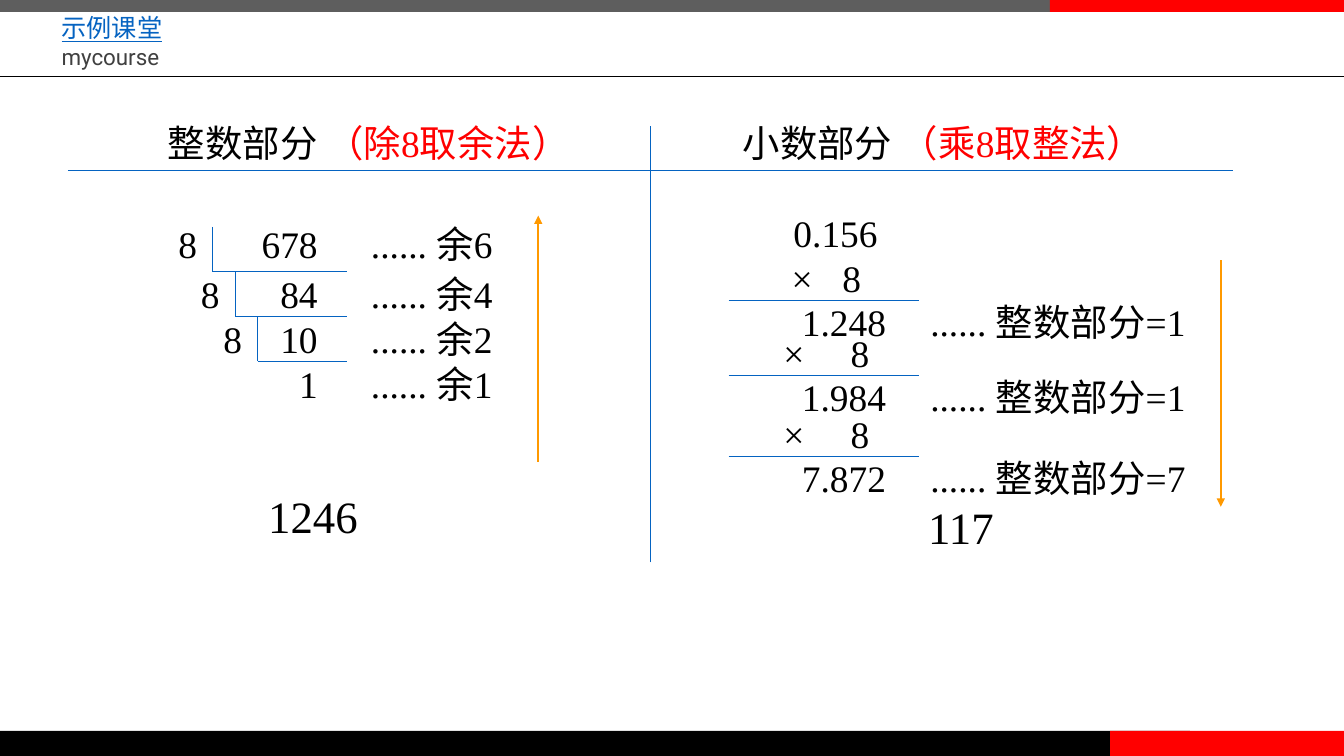
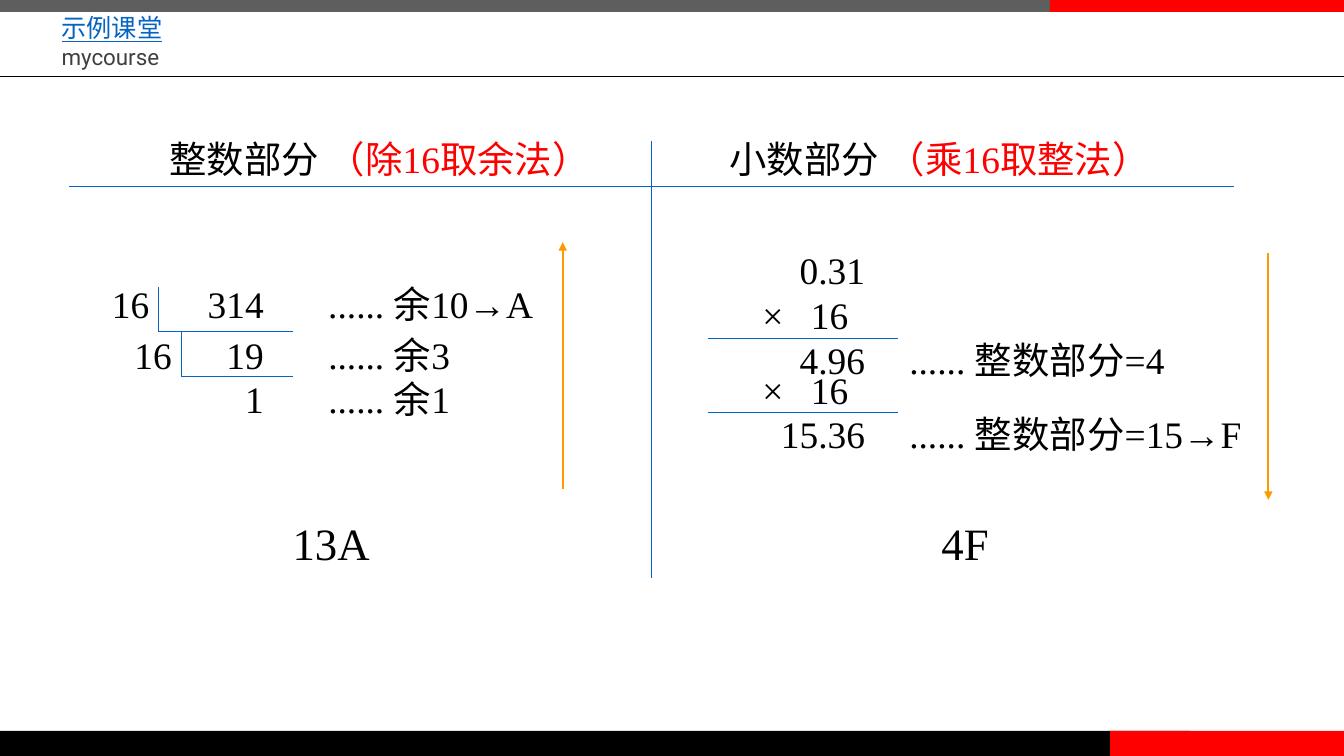
from lxml.etree import SubElement
from pptx import Presentation
from pptx.dml.color import RGBColor
from pptx.enum.shapes import MSO_CONNECTOR, MSO_SHAPE
from pptx.enum.text import MSO_ANCHOR, MSO_AUTO_SIZE, PP_ALIGN
from pptx.oxml.ns import qn
from pptx.util import Pt

BLACK = RGBColor(0x00, 0x00, 0x00)
RED = RGBColor(0xFF, 0x00, 0x00)
GRAY = RGBColor(0x5E, 0x5E, 0x5E)
DARK_GRAY = RGBColor(0x40, 0x40, 0x40)
BLUE = RGBColor(0x05, 0x63, 0xC1)
ORANGE = RGBColor(0xFF, 0x99, 0x00)

SERIF = "Times New Roman"
SANS = "Roboto"
BODY_SIZE = 26.7
RESULT_SIZE = 32
LINE_HEIGHT = 32
ARROW_LENGTH = 176
RULE_OFFSETS = (65, 118, 176)


class Lesson:
    """Number-base lesson slides: shared style and the current slide."""

    def __init__(self):
        self.deck = Presentation()
        self.deck.slide_width, self.deck.slide_height = Pt(960), Pt(540)
        self.layout = self.deck.slide_layouts[5]
        self.slide = None

    def new_slide(self):
        first = self.slide is None
        self.slide = self.deck.slides.add_slide(self.layout)
        if first:
            self.frame()

    def frame(self):
        parts = [
            self.band(0, 0, 778, 8.6, GRAY),
            self.band(0, 522, 850, 18, BLACK),
            self.band(793, 522, 167, 18, RED),
            self.band(750, 0, 210, 8.6, RED),
            self.line(0, 54.7, 960, 54.7, BLACK, 0.5),
            self.brand(),
        ]
        for part in parts:
            self.layout.shapes.element.append(part.element)

    def band(self, left, top, width, height, color):
        band = self.slide.shapes.add_shape(
            MSO_SHAPE.RECTANGLE, Pt(left), Pt(top), Pt(width), Pt(height))
        band.shadow.inherit = False
        band.fill.solid()
        band.fill.fore_color.rgb = color
        band.line.fill.background()
        return band

    def line(self, x1, y1, x2, y2, color=BLUE, width=0.75, arrow=False):
        line = self.slide.shapes.add_connector(
            MSO_CONNECTOR.STRAIGHT, Pt(x1), Pt(y1), Pt(x2), Pt(y2))
        line.line.color.rgb = color
        line.line.width = Pt(width)
        if arrow:
            SubElement(line.line._get_or_add_ln(), qn("a:tailEnd"), type="triangle")
        SubElement(line.element.spPr, qn("a:effectLst"))
        return line

    def arrow(self, x, start, end):
        self.line(x, start, x, end, ORANGE, 1.5, arrow=True)

    def set_frame(self, shape):
        frame = shape.text_frame
        frame.word_wrap = True
        frame.auto_size = MSO_AUTO_SIZE.NONE
        frame.vertical_anchor = MSO_ANCHOR.TOP
        frame.margin_left = frame.margin_right = 0
        frame.margin_top = frame.margin_bottom = 0
        return frame

    def set_font(self, paragraph, size, color=BLACK, name=SERIF):
        paragraph.font.size = Pt(size)
        paragraph.font.name = name
        paragraph.font.color.rgb = color

    def set_tabs(self, paragraph, stops):
        tab_list = SubElement(paragraph._p.get_or_add_pPr(), qn("a:tabLst"))
        for position, side in stops:
            SubElement(tab_list, qn("a:tab"), pos=str(Pt(position)), algn=side)

    def brand(self):
        brand = self.slide.shapes.add_textbox(Pt(44), Pt(9), Pt(200), Pt(44))
        frame = self.set_frame(brand)
        school, site = frame.paragraphs[0], frame.add_paragraph()
        school.text, site.text = "示例课堂", "mycourse"
        self.set_font(school, 18, BLUE, SANS)
        school.font.underline = True
        self.set_font(site, 16, DARK_GRAY, SANS)
        return brand

    def text(self, text, left, top, stops=(), size=BODY_SIZE, width=340):
        row = self.slide.shapes.add_textbox(
            Pt(left), Pt(top), Pt(width), Pt(size * 1.2))
        paragraph = self.set_frame(row).paragraphs[0]
        paragraph.text = text
        if stops:
            self.set_tabs(paragraph, [(x - left, side) for x, side in stops])
        self.set_font(paragraph, size)

    def result(self, digits, left, top):
        self.text(digits, left, top, size=RESULT_SIZE, width=110)

    def headings(self, base, left, axis, second_column):
        self.line(left, axis, left + 832, axis)
        self.line(left + 416, axis + 280, left + 416, axis - 32)
        title = self.slide.shapes.title
        title.left, title.top = Pt(left + 71.5), Pt(axis - 36)
        title.width, title.height = Pt(728), Pt(36)
        paragraph = self.set_frame(title).paragraphs[0]
        paragraph.alignment = PP_ALIGN.LEFT
        self.set_tabs(paragraph, [(second_column, "l")])
        self.set_font(paragraph, BODY_SIZE)
        for words, color in (
            ("整数部分 ", BLACK), (f"（除{base}取余法）\t", RED),
            ("小数部分 ", BLACK), (f"（乘{base}取整法）", RED),
        ):
            run = paragraph.add_run()
            run.text = words
            run.font.color.rgb = color

    def division(self, base, rows, left, top, bar_end, divisor_gap, note_gap):
        stops = [(bar_end - 21, "r"), (bar_end + note_gap, "l")]
        for index, (dividend, remainder) in enumerate(rows):
            x = left + 16 * index
            bracket_top = top + 4 + LINE_HEIGHT * index
            last = index == len(rows) - 1
            divisor = "" if last else base
            self.text(f"{divisor}\t{dividend}\t...... 余{remainder}",
                      x - divisor_gap, bracket_top if index else top, stops)
            if not last:
                bracket_bottom = bracket_top + LINE_HEIGHT
                self.line(x, bracket_top, x, bracket_bottom)
                self.line(x, bracket_bottom, bar_end, bracket_bottom)

    def multiplication(self, base, start, steps, left, top, lead=0):
        sign, factor_end = left + 39, left + 100.5
        product_end, note = left + 112.5, left + 144
        self.text(f"\t{start}", sign, top, [(product_end - lead, "r")], width=110)
        for index, (offset, (product, whole)) in enumerate(zip(RULE_OFFSETS, steps)):
            shift = 0 if index else lead
            rule = top + offset
            self.text(f"×\t{base}", sign + shift, rule - 32.5,
                      [(factor_end - shift, "r")], width=90)
            self.line(left, rule, left + 136, rule)
            self.text(f"\t{product}\t...... 整数部分={whole}", sign, rule - 1,
                      [(product_end, "r"), (note, "l")], width=370)


def main():
    lesson = Lesson()

    lesson.new_slide()
    lesson.headings("8", 48.5, 121.7, 410.5)
    lesson.division("8", [("678", "6"), ("84", "4"), ("10", "2"), ("1", "1")],
                    left=152, top=158, bar_end=248, divisor_gap=24.5, note_gap=17)
    lesson.arrow(384.5, 154 + ARROW_LENGTH, 154)
    lesson.result("1246", 191.5, 349)
    lesson.multiplication(
        "8", "0.156", [("1.248", "1"), ("1.984", "1"), ("7.872", "7")],
        left=520.5, top=150, lead=6)
    lesson.arrow(872, 186, 186 + ARROW_LENGTH)
    lesson.result("117", 663, 357)

    lesson.new_slide()
    lesson.headings("16", 49.5, 133, 400)
    lesson.division("16", [("314", "10→A"), ("19", "3"), ("1", "1")],
                    left=113.5, top=201, bar_end=209.5, divisor_gap=33.5, note_gap=25)
    lesson.arrow(402, 173 + ARROW_LENGTH, 173)
    lesson.result("13A", 209, 368.5)
    lesson.multiplication("16", "0.31", [("4.96", "4"), ("15.36", "15→F")],
                          left=505.5, top=176.5)
    lesson.arrow(906, 181, 181 + ARROW_LENGTH)
    lesson.result("4F", 672.5, 368.5)

    lesson.deck.save("out.pptx")


if __name__ == "__main__":
    main()
